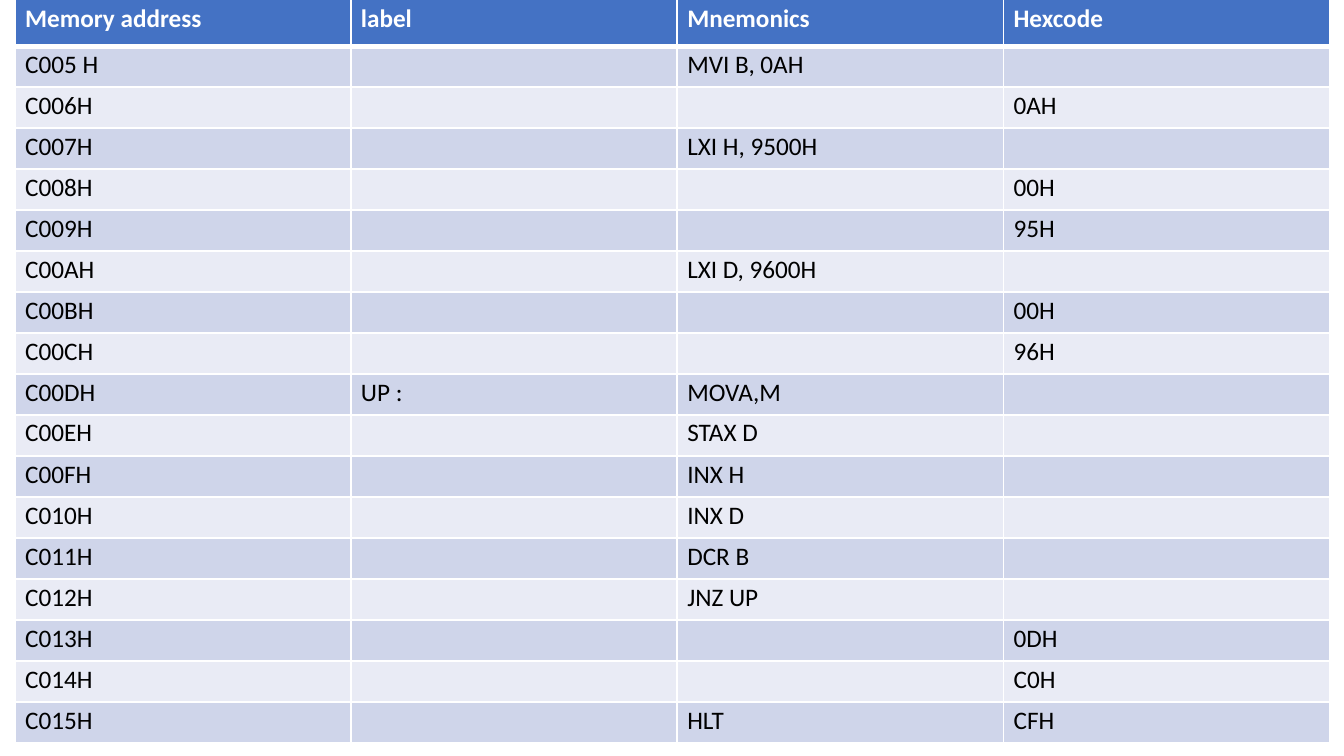
from lxml.etree import SubElement
from pptx import Presentation
from pptx.dml.color import RGBColor
from pptx.oxml.ns import qn
from pptx.util import Inches, Pt

WHITE = RGBColor(0xFF, 0xFF, 0xFF)
BLACK = RGBColor(0x00, 0x00, 0x00)
HEADER_BLUE = RGBColor(0x44, 0x72, 0xC4)
BAND_DARK = RGBColor(0xCF, 0xD5, 0xEA)
BAND_LIGHT = RGBColor(0xE9, 0xEB, 0xF5)

THIN, THICK = 1.5, 4.25
HEADER_HEIGHT = 0.47
ADDRESS_WIDTH = 3.33

HEADINGS = ("Memory address", "label", "Mnemonics", "Hexcode")
PROGRAM = [
    ("C005 H", "", "MVI B, 0AH", ""),
    ("C006H", "", "", "0AH"),
    ("C007H", "", "LXI H, 9500H", ""),
    ("C008H", "", "", "00H"),
    ("C009H", "", "", "95H"),
    ("C00AH", "", "LXI D, 9600H", ""),
    ("C00BH", "", "", "00H"),
    ("C00CH", "", "", "96H"),
    ("C00DH", "UP :", "MOVA,M", ""),
    ("C00EH", "", "STAX D", ""),
    ("C00FH", "", "INX H", ""),
    ("C010H", "", "INX D", ""),
    ("C011H", "", "DCR B", ""),
    ("C012H", "", "JNZ UP", ""),
    ("C013H", "", "", "0DH"),
    ("C014H", "", "", "C0H"),
    ("C015H", "", "HLT", "CFH"),
]


def draw_borders(cell, top, bottom):
    properties = cell._tc.get_or_add_tcPr()
    for side, width in (("L", THIN), ("R", THIN), ("T", top), ("B", bottom)):
        line = SubElement(properties, qn(f"a:ln{side}"), w=str(Pt(width)))
        fill = SubElement(line, qn("a:solidFill"))
        SubElement(fill, qn("a:srgbClr"), val=str(WHITE))


def fill_cell(cell, text, row):
    is_header = row == 0
    draw_borders(cell, THICK if row == 1 else THIN, THICK if is_header else THIN)
    cell.fill.solid()
    band = BAND_DARK if row % 2 else BAND_LIGHT
    cell.fill.fore_color.rgb = HEADER_BLUE if is_header else band
    cell.margin_left = Inches(0.1)
    cell.margin_right = cell.margin_bottom = 0
    cell.margin_top = Inches(0.04 if is_header or row > 10 else 0.03)
    if not text:
        return
    para = cell.text_frame.paragraphs[0]
    para.space_before = Pt(2.6)
    span = para.add_run()
    span.text = text
    span.font.name = "Calibri"
    span.font.size = Pt(18)
    span.font.bold = is_header
    span.font.color.rgb = WHITE if is_header else BLACK


def add_program_table(page, left, top, width, height):
    rows = [HEADINGS, *PROGRAM]
    frame = page.shapes.add_table(
        len(rows), len(HEADINGS),
        Inches(left), Inches(top), Inches(width), Inches(height),
    )
    table = frame.table
    other_width = (width - ADDRESS_WIDTH) / (len(HEADINGS) - 1)
    for index, column in enumerate(table.columns):
        column.width = Inches(other_width if index else ADDRESS_WIDTH)
    body_height = (height - HEADER_HEIGHT) / len(PROGRAM)
    for index, texts in enumerate(rows):
        table.rows[index].height = Inches(body_height if index else HEADER_HEIGHT)
        for cell, text in zip(table.rows[index].cells, texts):
            fill_cell(cell, text, index)


def main():
    deck = Presentation()
    deck.slide_width = Inches(13.33)
    deck.slide_height = Inches(7.5)
    page = deck.slides.add_slide(deck.slide_layouts[6])
    add_program_table(page, 0.15, -0.01, 13.04, 7.38)
    deck.save("out.pptx")


if __name__ == "__main__":
    main()
